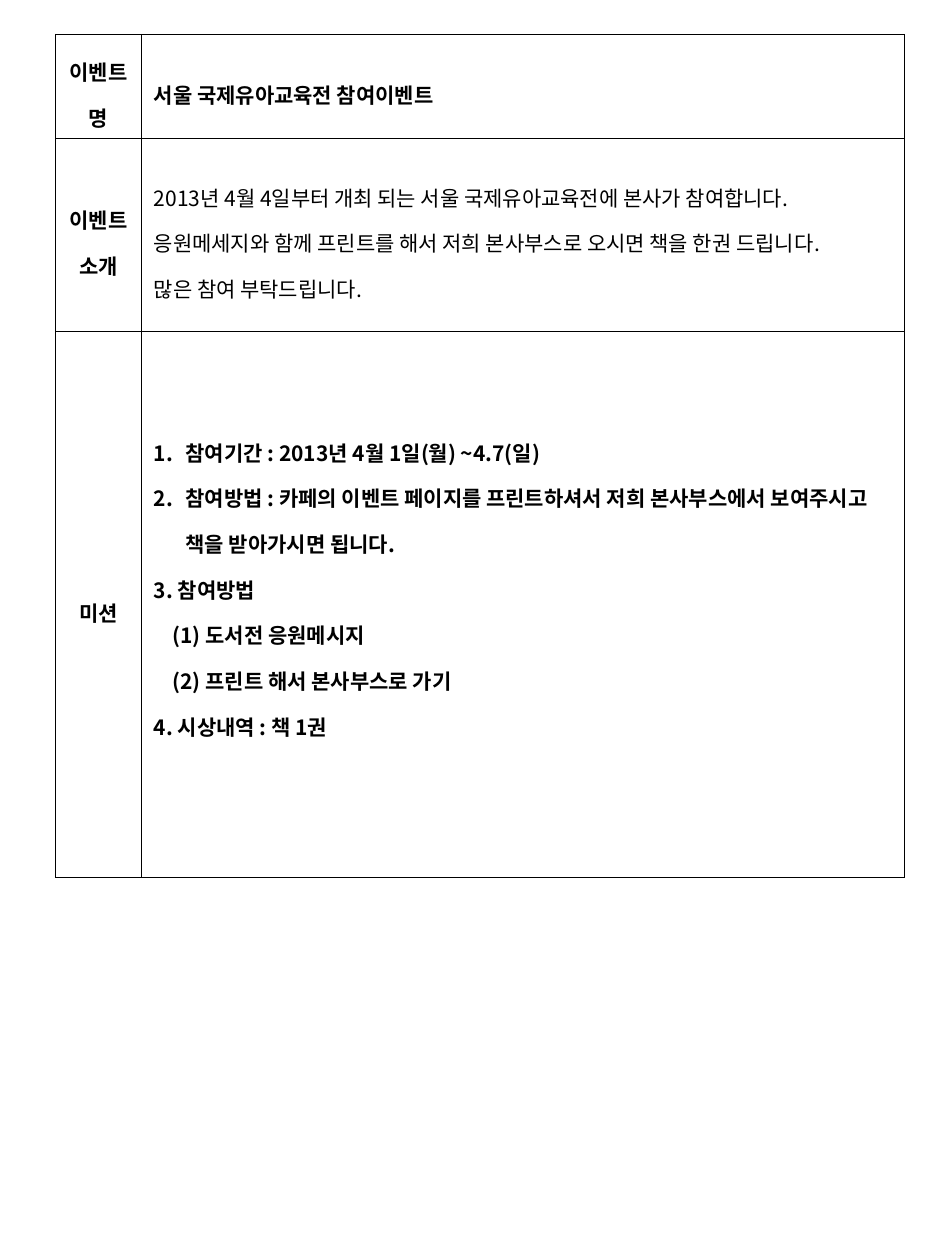
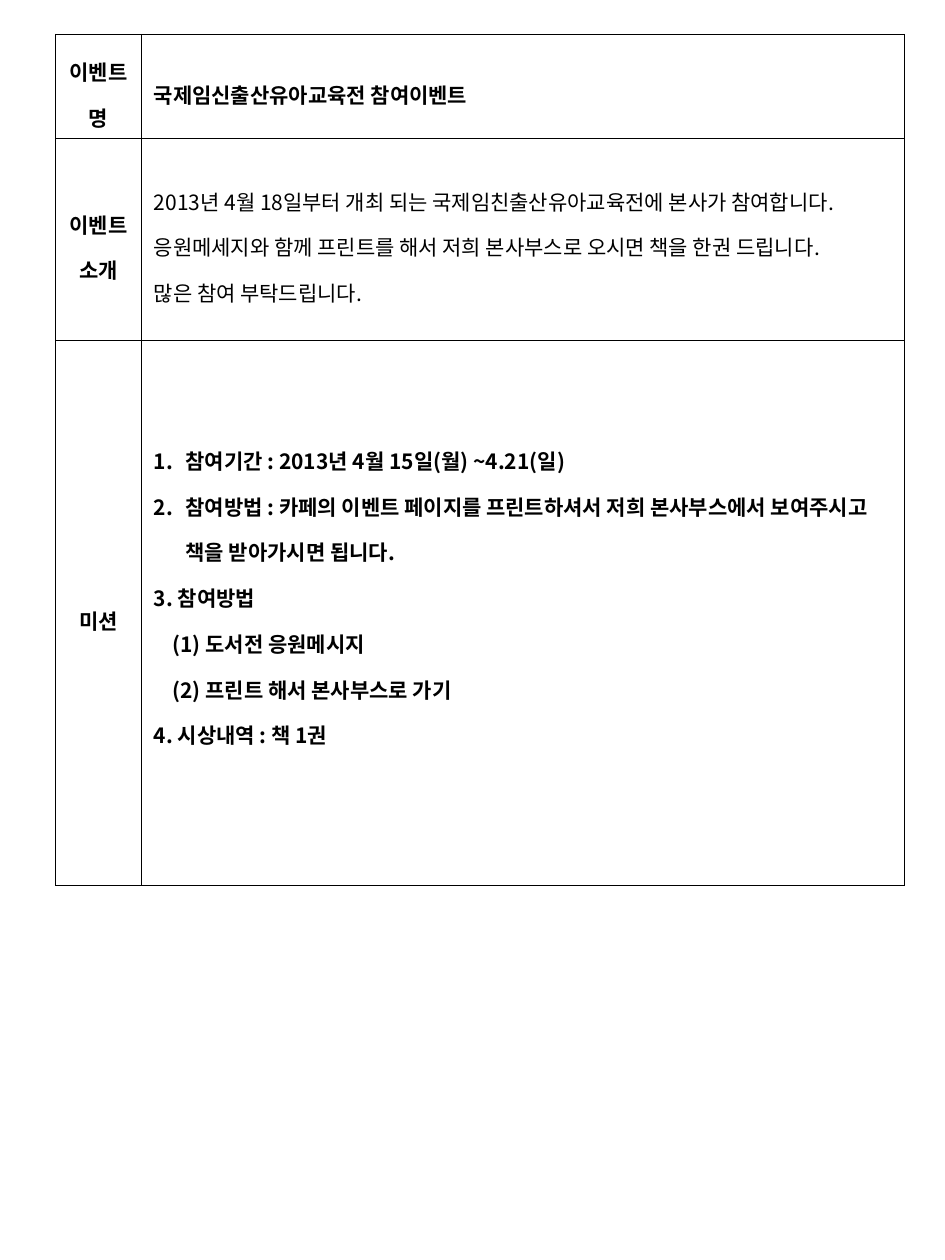
from lxml import etree
from pptx import Presentation
from pptx.dml.color import RGBColor
from pptx.enum.text import MSO_ANCHOR, PP_ALIGN
from pptx.oxml.ns import qn
from pptx.util import Cm, Pt

CENTER, LEFT = PP_ALIGN.CENTER, PP_ALIGN.LEFT
MIDDLE = MSO_ANCHOR.MIDDLE
COLORS = {"ink": "000000", "paper": "FFFFFF"}
FONT = "Noto Sans CJK KR"
FONT_FORMAT = {"name": FONT, "size": Pt(12)}
CELL_FORMAT = {
    "vertical_anchor": MIDDLE,
    "margin_left": Cm(0.25), "margin_right": Cm(0.25),
    "margin_top": Cm(0.13), "margin_bottom": Cm(0.13),
}
COLUMN_WIDTHS = [1.73, 15.39]
NAME_HEIGHT, MISSION_HEIGHT = 1.78, 11
MISSION_BOTTOM = 1.05  # lifts the mission list above the middle of its cell

# Paragraph styles: left margin and first-line indent in cm, numbered or not
STYLES = {
    "plain": (0, 0, False),
    "numbered": (0.64, -0.64, True),
    "item": (0.64, -0.64, False),
    "step": (0.38, 0, False),
}

EVENTS = [
    {
        "name": "서울 국제유아교육전 참여이벤트",
        "opening": "2013년 4월 4일부터 개최 되는 서울 국제유아교육전에 본사가 참여합니다.",
        "period": "2013년 4월 1일(월) ~4.7(일)",
        "intro_height": 3.89,
    },
    {
        "name": "국제임신출산유아교육전 참여이벤트",
        "opening": "2013년 4월 18일부터 개최 되는 국제임친출산유아교육전에 본사가 참여합니다.",
        "period": "2013년 4월 15일(월) ~4.21(일)",
        "intro_height": 4.06,
    },
]


def style_cell(cell):
    """Give a cell its margins, thin borders and plain fill."""
    for name, value in CELL_FORMAT.items():
        setattr(cell, name, value)
    properties = cell._tc.get_or_add_tcPr()
    for side in ("a:lnL", "a:lnR", "a:lnT", "a:lnB"):
        line = etree.SubElement(properties, qn(side), w=str(Pt(0.45)))
        fill = etree.SubElement(line, qn("a:solidFill"))
        etree.SubElement(fill, qn("a:srgbClr"), val=COLORS["ink"])
    cell.fill.solid()
    cell.fill.fore_color.rgb = RGBColor.from_string(COLORS["paper"])


def write_cell(cell, lines, bold=True, align=LEFT):
    """Write (style, text) lines into a cell, one paragraph each."""
    for index, (style, text) in enumerate(lines):
        frame = cell.text_frame
        para = frame.paragraphs[0] if index == 0 else frame.add_paragraph()
        margin, indent, numbered = STYLES[style]
        properties = para._p.get_or_add_pPr()
        properties.set("marL", str(Cm(margin)))
        properties.set("indent", str(Cm(indent)))
        if numbered:
            color = etree.SubElement(properties, qn("a:buClr"))
            etree.SubElement(color, qn("a:srgbClr"), val=COLORS["ink"])
            etree.SubElement(properties, qn("a:buFont"), typeface=FONT)
            etree.SubElement(properties, qn("a:buAutoNum"), type="arabicPeriod")
        para.alignment = align
        para.line_spacing = 1.5
        span = para.add_run()
        span.text = text
        for name, value in FONT_FORMAT.items():
            setattr(span.font, name, value)
        span.font.bold = bold
        span.font.color.rgb = RGBColor.from_string(COLORS["ink"])
        etree.SubElement(span.font._element, qn("a:ea"), typeface=FONT)


deck = Presentation()
deck.slide_width, deck.slide_height = Cm(19.05), Cm(25.4)

for event in EVENTS:
    page = deck.slides.add_slide(deck.slide_layouts[6])

    # Table grid
    heights = [NAME_HEIGHT, event["intro_height"], MISSION_HEIGHT]
    table = page.shapes.add_table(
        len(heights), len(COLUMN_WIDTHS), Cm(1.12), Cm(0.69),
        Cm(sum(COLUMN_WIDTHS)), Cm(sum(heights))).table
    table.first_row = table.horz_banding = False
    for column, width in zip(table.columns, COLUMN_WIDTHS):
        column.width = Cm(width)
    for row, height in zip(table.rows, heights):
        row.height = Cm(height)
    for cell in table.iter_cells():
        style_cell(cell)

    # Row labels
    for row, label in enumerate(["이벤트 명", "이벤트소개", "미션"]):
        write_cell(table.cell(row, 0), [("plain", label)], align=CENTER)

    # Event name and introduction
    write_cell(table.cell(0, 1), [("plain", event["name"])])
    write_cell(table.cell(1, 1), [
        ("plain", event["opening"]),
        ("plain", "응원메세지와 함께 프린트를 해서 저희 본사부스로 오시면 책을 한권 드립니다."),
        ("plain", "많은 참여 부탁드립니다."),
    ], bold=False)

    # Mission
    mission = table.cell(2, 1)
    mission.margin_bottom = Cm(MISSION_BOTTOM)
    write_cell(mission, [
        ("numbered", f"참여기간 : {event['period']}"),
        ("numbered", "참여방법 : 카페의 이벤트 페이지를 프린트하셔서 저희 본사부스에서 "
                     "보여주시고 책을 받아가시면 됩니다."),
        ("item", "3. 참여방법"),
        ("step", "(1) 도서전 응원메시지"),
        ("step", "(2) 프린트 해서 본사부스로 가기"),
        ("item", "4. 시상내역 : 책 1권"),
    ])

deck.save("out.pptx")
